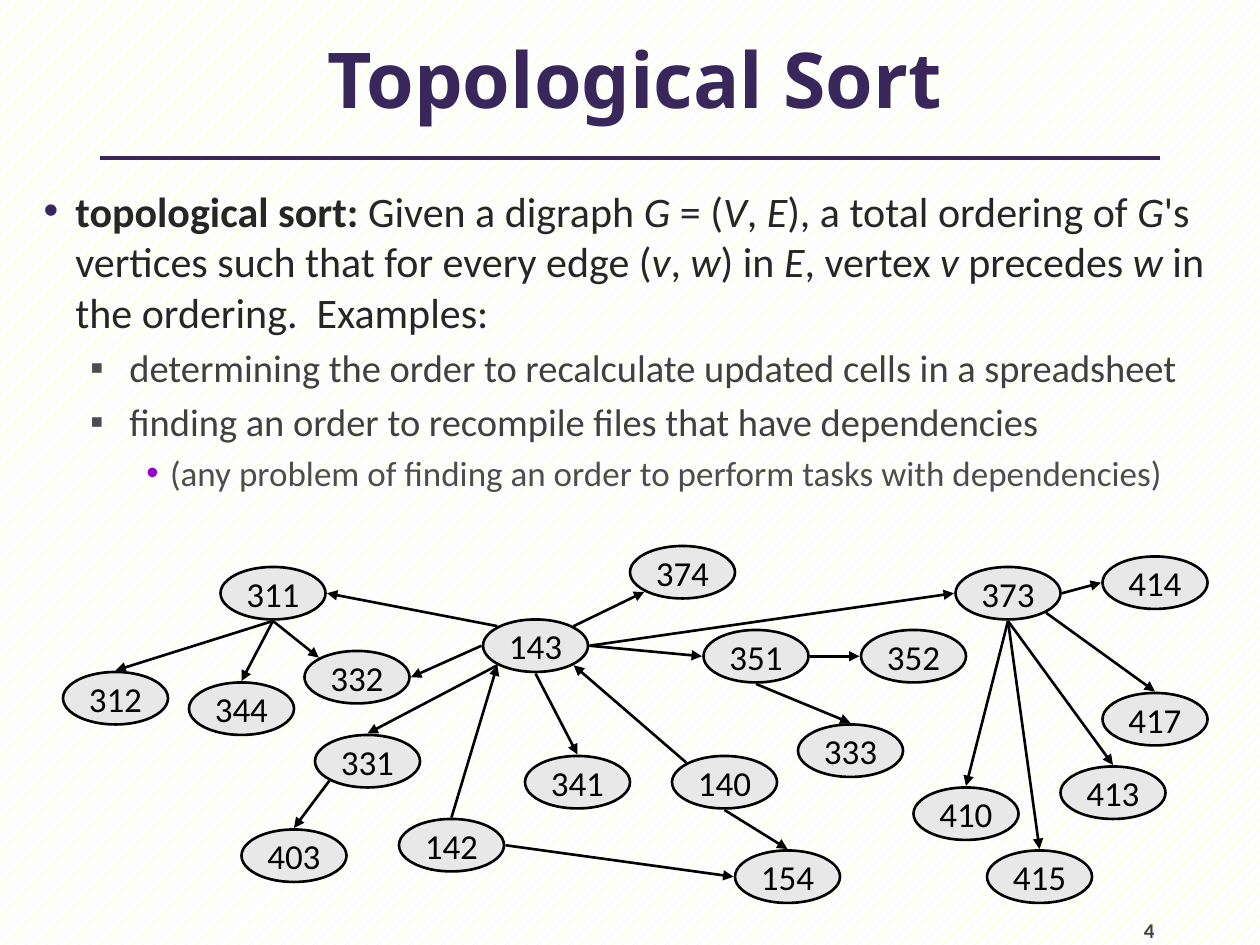
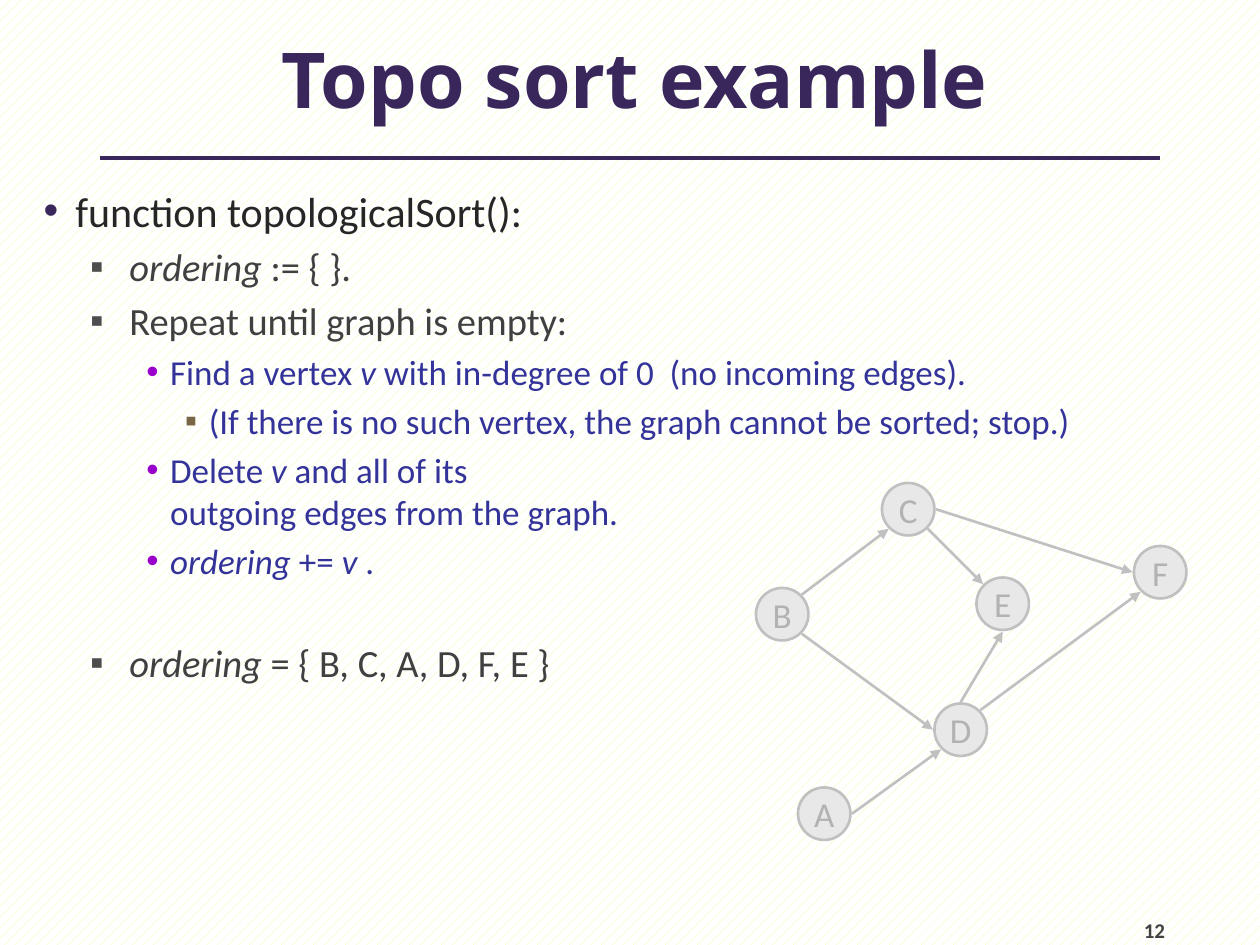
"""Build two slides on topological sorting: its definition and a worked example."""
from dataclasses import dataclass
from math import cos, radians, sin

from lxml import etree
from pptx import Presentation
from pptx.dml.color import RGBColor
from pptx.enum import dml, shapes, text
from pptx.oxml import ns
from pptx.util import Cm, Pt


@dataclass(frozen=True)
class Theme:
    head: str = "Noto Sans"
    body: str = "Calibri"
    plum: str = "39275B"
    lime: str = "E6FF9F"
    white: str = "FFFFFF"
    gray: str = "424242"
    blue: str = "333399"
    fill: str = "E8E8E8"
    black: str = "000000"
    rim: str = "C0C0C0"
    faded: str = "B2B2B2"
    title: int = 44
    node: int = 20
    number: int = 12


theme = Theme()


def style(font, tone, **values):
    for key, value in values.items():
        setattr(font, key, value)
    font.color.rgb = RGBColor.from_string(tone)


def link(page, start, end, tone, width, arrow=False):
    ends = [Cm(v) for v in (*start, *end)]
    line = page.shapes.add_connector(shapes.MSO_CONNECTOR.STRAIGHT, *ends)
    line.line.width = Pt(width)
    line.line.color.rgb = RGBColor.from_string(tone)
    if arrow:
        tip = etree.SubElement(line.line._get_or_add_ln(), ns.qn("a:tailEnd"))
        tip.set("type", "triangle")
    etree.SubElement(line._element.spPr, ns.qn("a:effectLst"))


# level: left margin, indent, bullet, bullet tone, text tone, size
levels = [
    (1.27, -0.64, "•", theme.plum, "262626", 24),
    (2.36, -0.79, "▪", "4D4D4D", "404040", 22),
    (3.18, -0.48, "•", "9900CC", "4D4D4D", 20),
    (3.96, -0.48, "▪", "796646", "4D4D4D", 20),
]
unit = 2.54 / 12
tall = 5
gap = 0.03
sides = {s: 45 * i for i, s in enumerate("e se s sw w nw n ne".split())}

decks = [
    dict(
        title="Topological Sort", number="4", wide=10,
        rim=theme.black, ink=theme.black, tones={},
        rows=[
            (0, "!topological sort:** Given a digraph *G* = (*V*, *E*), a total ordering "
                "of *G*'s vertices such that for every edge (*v*, *w*) in *E*, vertex *v* "
                "precedes *w* in the ordering.  Examples:"),
            (1, "determining the order to recalculate updated cells in a spreadsheet"),
            (1, "finding an order to recompile files that have dependencies"),
            (2, "(any problem of finding an order to perform tasks with dependencies)"),
        ],
        nodes={
            "142": (38, 78), "143": (46, 59), "154": (70, 81), "140": (64, 72),
            "311": (21, 54), "312": (6, 64), "331": (30, 70), "351": (67, 60),
            "333": (76, 69), "341": (50, 72), "344": (18, 65), "403": (23, 79),
            "352": (82, 60), "373": (91, 54), "410": (87, 75), "332": (29, 62),
            "374": (60, 52), "415": (94, 81), "413": (101, 73), "417": (105, 66),
            "414": (105, 53),
        },
        edges=[
            "142 n 143 sw", "142 e 154 w", "140 nw 143 se", "140 s 154 n",
            "311 s 312 n", "311 s 344 n", "311 s 332 nw", "143 nw 311 e",
            "143 w 332 e", "143 sw 331 n", "143 s 341 n", "143 e 351 w",
            "143 e 373 w", "143 ne 374 sw", "331 sw 403 n", "351 e 352 w",
            "351 s 333 n", "373 s 410 n", "373 s 415 n", "373 s 413 n",
            "373 e 414 w", "373 se 417 n",
        ],
    ),
    dict(
        title="Topo sort example", number="12", wide=5,
        rim=theme.rim, ink=theme.faded, tones={2: theme.blue, 3: theme.blue},
        rows=[
            (0, "function topologicalSort():"),
            (1, "*ordering* := { }."),
            (1, "Repeat until graph is empty:"),
            (2, "Find a vertex *v* with in-degree of 0  (no incoming edges)."),
            (3, "(If there is no such vertex, the graph cannot be sorted; stop.)"),
            (2, "Delete *v* and all of its\noutgoing edges from the graph."),
            (2, "*ordering* += *v* ."),
            (1, "*ordering* = { B, C, A, D, F, E }", 33),
        ],
        nodes={
            "A": (76, 75), "B": (72, 56), "C": (84, 46),
            "D": (89, 67), "E": (93, 55), "F": (108, 52),
        },
        edges=[
            "B ne C sw", "B se D w", "C e F w", "C se E nw",
            "D ne F sw", "D n E s", "A e D sw",
        ],
    ),
]

show = Presentation()
show.slide_width, show.slide_height = Cm(25.4), Cm(19.05)

for deck in decks:
    page = show.slides.add_slide(show.slide_layouts[6])
    back = page.background.fill
    back.patterned()
    back.pattern = dml.MSO_PATTERN.PERCENT_20
    back.fore_color.rgb = RGBColor.from_string(theme.lime)
    back.back_color.rgb = RGBColor.from_string(theme.white)

    link(page, (2.01, 3.18), (23.39, 3.18), theme.plum, 2.25)

    box = page.shapes.add_textbox(Cm(0.1), Cm(-0.03), Cm(25.4), Cm(3.18))
    frame = box.text_frame
    frame.word_wrap = True
    frame.vertical_anchor = text.MSO_ANCHOR.MIDDLE
    para = frame.paragraphs[0]
    para.alignment = text.PP_ALIGN.CENTER
    run = para.add_run()
    run.text = deck["title"]
    style(run.font, theme.plum, name=theme.head, size=Pt(theme.title), bold=True)

    box = page.shapes.add_textbox(Cm(23.06), Cm(17.98), Cm(2.11), Cm(1.02))
    frame = box.text_frame
    flat = {f"margin_{side}": 0 for side in ("left", "top", "right", "bottom")}
    flat |= dict(word_wrap=True, vertical_anchor=text.MSO_ANCHOR.BOTTOM)
    for key, value in flat.items():
        setattr(frame, key, value)
    run = frame.paragraphs[0].add_run()
    run.text = deck["number"]
    style(run.font, theme.gray, name=theme.body, size=Pt(theme.number), bold=True)

    box = page.shapes.add_textbox(Cm(0), Cm(3.61), Cm(25.4), Cm(15.44))
    frame = box.text_frame
    frame.word_wrap = True
    for i, (level, words, *space) in enumerate(deck["rows"]):
        left, indent, mark, dot, tone, size = levels[level]
        tone = deck["tones"].get(level, tone)
        para = frame.add_paragraph() if i else frame.paragraphs[0]
        para.level = level
        prop = para._p.get_or_add_pPr()
        prop.set("marL", str(Cm(left)))
        prop.set("indent", str(Cm(indent)))
        color = etree.SubElement(prop, ns.qn("a:buClr"))
        etree.SubElement(color, ns.qn("a:srgbClr")).set("val", dot)
        etree.SubElement(prop, ns.qn("a:buFont")).set("typeface", "Arial")
        etree.SubElement(prop, ns.qn("a:buChar")).set("char", mark)
        if i:
            para.space_before = Pt(space[0] if space else 0.2 * size)
        for j, bit in enumerate(words.split("*")):
            for k, part in enumerate(bit.split("\n")):
                if k:
                    para.add_line_break()
                if part:
                    run = para.add_run()
                    run.text = part.lstrip("!")
                    style(run.font, tone, name=theme.body, size=Pt(size),
                          bold=part.startswith("!"), italic=j % 2 == 1)

    wide = deck["wide"]
    for name, (left, top) in deck["nodes"].items():
        place = [Cm(v * unit) for v in (left, top, wide, tall)]
        oval = page.shapes.add_shape(shapes.MSO_SHAPE.OVAL, *place)
        oval.shadow.inherit = False
        oval.fill.solid()
        oval.fill.fore_color.rgb = RGBColor.from_string(theme.fill)
        oval.line.color.rgb = RGBColor.from_string(deck["rim"])
        oval.line.width = Pt(1.5)
        frame = oval.text_frame
        frame.word_wrap = False
        frame.vertical_anchor = text.MSO_ANCHOR.MIDDLE
        para = frame.paragraphs[0]
        para.alignment = text.PP_ALIGN.CENTER
        run = para.add_run()
        run.text = name
        style(run.font, deck["ink"], name=theme.body, size=Pt(theme.node))

    for edge in deck["edges"]:
        a, out, b, into = edge.split()
        ends = []
        for name, side in ((a, out), (b, into)):
            left, top = deck["nodes"][name]
            turn = radians(sides[side])
            ends.append((
                (left + wide / 2) * unit + (wide / 2 * unit + gap) * cos(turn),
                (top + tall / 2) * unit + (tall / 2 * unit + gap) * sin(turn),
            ))
        link(page, *ends, deck["rim"], 1.5, arrow=True)

show.save("out.pptx")
